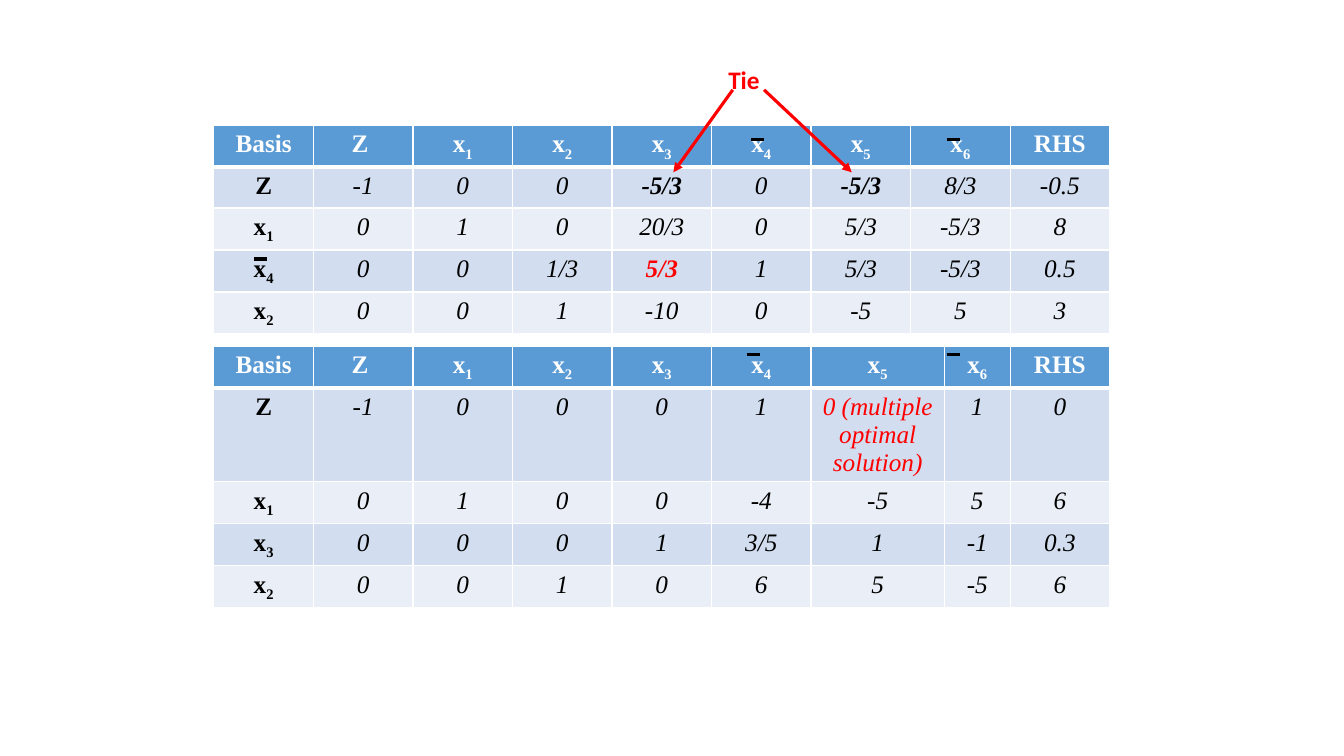
import dataclasses

import lxml.etree
import pptx
import pptx.dml.color
import pptx.enum.shapes
import pptx.enum.text
import pptx.oxml.ns
import pptx.slide
import pptx.text.text
import pptx.util

COLORS = {
    "header": "5B9BD5",
    "band_dark": "D2DEEF",
    "band_light": "EAEFF7",
    "white": "FFFFFF",
    "black": "000000",
    "red": "FF0000",
}
HEADER = ["Basis", "Z ", "x_1", "x_2", "x_3", "x_4", "x_5", "x_6", "RHS"]
TABLE_LEFT = 152.8
COLUMN_WIDTH = 71.1
ROW_HEIGHT = 29.2
BAR_LENGTH = 9.4


@dataclasses.dataclass(frozen=True)
class Tableau:
    top: float
    widths: list[float]
    rows: list[list[str]]
    bold: set[tuple[int, int]]
    red: set[tuple[int, int]]


@dataclasses.dataclass(frozen=True)
class Line:
    start: tuple[float, float]
    end: tuple[float, float]
    color: str = "black"
    arrow: bool = False


TABLEAUS = [
    Tableau(
        89.4,
        [COLUMN_WIDTH] * 9,
        [
            ["Z", "-1", "0", "0", "-5/3", "0", "-5/3", "8/3", "-0.5"],
            ["x_1", "0", "1", "0", "20/3", "0", "5/3", "-5/3", "8"],
            ["x_4", "0", "0", "1/3", "5/3", "1", "5/3", "-5/3", "0.5"],
            ["x_2", "0", "0", "1", "-10", "0", "-5", "5", "3"],
        ],
        bold={(1, 4), (1, 6), (3, 4)},
        red={(3, 4)},
    ),
    Tableau(
        247.2,
        [COLUMN_WIDTH] * 6 + [95.2, 47, COLUMN_WIDTH],
        [
            ["Z", "-1", "0", "0", "0", "1", "0 (multiple optimal solution)", "1", "0"],
            ["x_1", "0", "1", "0", "0", "-4", "-5", "5", "6"],
            ["x_3", "0", "0", "0", "1", "3/5", "1", "-1", "0.3"],
            ["x_2", "0", "0", "1", "0", "6", "5", "-5", "6"],
        ],
        bold=set(),
        red={(1, 6)},
    ),
]
BAR_STARTS = [(536.4, 99.4), (676.1, 99.4), (181.4, 185), (533.5, 253.4), (676.1, 253.4)]
LINES = [Line((x, y), (x + BAR_LENGTH, y)) for x, y in BAR_STARTS] + [
    Line((523.4, 64.2), (481, 123.1), "red", True),
    Line((545.8, 64.2), (608.4, 123.1), "red", True),
]


def rgb(name: str) -> pptx.dml.color.RGBColor:
    return pptx.dml.color.RGBColor.from_string(COLORS[name])


def write_text(
    para: pptx.text.text._Paragraph,
    text: str,
    *,
    font: str = "Times New Roman",
    color: str = "black",
    bold: bool = False,
    italic: bool = False,
    align: pptx.enum.text.PP_ALIGN = pptx.enum.text.PP_ALIGN.CENTER,
) -> None:
    para.alignment = align
    for index, part in enumerate(text.split("_")):
        span = para.add_run()
        span.text = part
        span.font.name = font
        span.font.size = pptx.util.Pt(18)
        span.font.bold = bold
        span.font.italic = italic
        span.font.color.rgb = rgb(color)
        if index:
            span._r.get_or_add_rPr().set("baseline", "-25000")


def add_borders(cell, row: int) -> None:
    widths = {"L": 1, "R": 1, "T": 3 if row == 1 else 1, "B": 3 if row == 0 else 1}
    properties = cell._tc.get_or_add_tcPr()
    for side, width in widths.items():
        edge = lxml.etree.SubElement(properties, pptx.oxml.ns.qn(f"a:ln{side}"))
        edge.set("w", str(pptx.util.Pt(width)))
        fill = lxml.etree.SubElement(edge, pptx.oxml.ns.qn("a:solidFill"))
        lxml.etree.SubElement(fill, pptx.oxml.ns.qn("a:srgbClr")).set("val", COLORS["white"])


def draw_tableau(page: pptx.slide.Slide, tableau: Tableau) -> None:
    rows = [HEADER] + tableau.rows
    table = page.shapes.add_table(
        len(rows),
        len(HEADER),
        pptx.util.Pt(TABLE_LEFT),
        pptx.util.Pt(tableau.top),
        pptx.util.Pt(sum(tableau.widths)),
        pptx.util.Pt(ROW_HEIGHT * len(rows)),
    ).table
    for column, width in zip(table.columns, tableau.widths):
        column.width = pptx.util.Pt(width)
    for row, labels in enumerate(rows):
        band = "header" if row == 0 else "band_dark" if row % 2 else "band_light"
        for column, label in enumerate(labels):
            cell = table.cell(row, column)
            add_borders(cell, row)
            cell.fill.solid()
            cell.fill.fore_color.rgb = rgb(band)
            heading = row == 0 or column == 0
            spot = (row, column)
            write_text(
                cell.text_frame.paragraphs[0],
                label,
                color="white" if row == 0 else "red" if spot in tableau.red else "black",
                bold=heading or spot in tableau.bold,
                italic=not heading,
            )


def draw_line(page: pptx.slide.Slide, line: Line) -> None:
    connector = page.shapes.add_connector(
        pptx.enum.shapes.MSO_CONNECTOR.STRAIGHT,
        *(pptx.util.Pt(value) for value in line.start + line.end),
    )
    connector.line.color.rgb = rgb(line.color)
    connector.line.width = pptx.util.Pt(2.25)
    if line.arrow:
        outline = connector.line._get_or_add_ln()
        lxml.etree.SubElement(outline, pptx.oxml.ns.qn("a:tailEnd")).set("type", "triangle")
    lxml.etree.SubElement(connector._element.spPr, pptx.oxml.ns.qn("a:effectLst"))


def draw_tie_label(page: pptx.slide.Slide) -> None:
    box = page.shapes.add_textbox(*(pptx.util.Pt(value) for value in (481, 42.5, 120.2, 29.2)))
    box.text_frame.word_wrap = True
    box.text_frame.margin_left = pptx.util.Pt(39.2)
    write_text(
        box.text_frame.paragraphs[0],
        "Tie",
        font="Calibri",
        color="red",
        bold=True,
        align=pptx.enum.text.PP_ALIGN.LEFT,
    )


def main() -> None:
    deck = pptx.Presentation()
    deck.slide_width = pptx.util.Pt(960)
    deck.slide_height = pptx.util.Pt(540)
    page = deck.slides.add_slide(deck.slide_layouts[6])
    for tableau in TABLEAUS:
        draw_tableau(page, tableau)
    draw_tie_label(page)
    for line in LINES:
        draw_line(page, line)
    deck.save("out.pptx")


if __name__ == "__main__":
    main()
